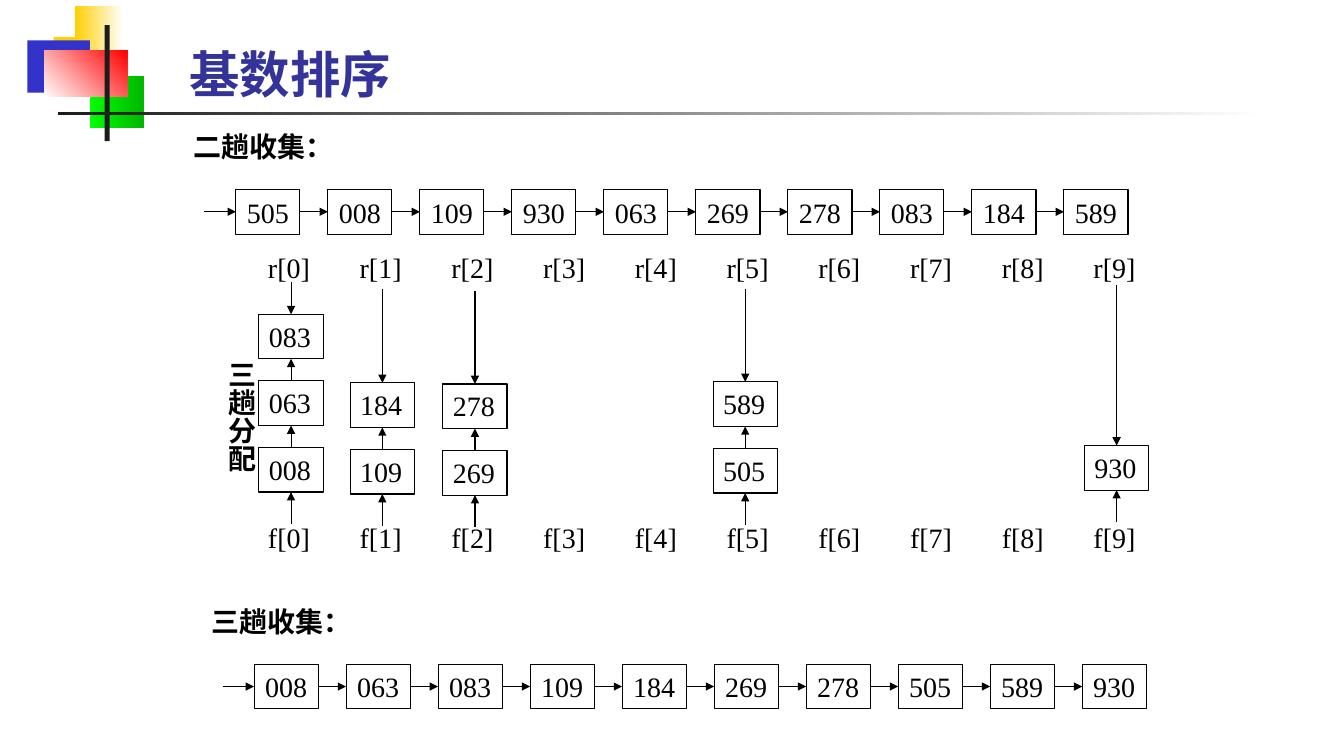
from lxml import etree
from pptx import Presentation
from pptx import util as u
from pptx.dml.color import RGBColor
from pptx.enum import shapes, text
from pptx.oxml.ns import qn

BLACK = RGBColor(0x00, 0x00, 0x00)
WHITE = RGBColor(0xFF, 0xFF, 0xFF)
CHARCOAL = RGBColor(0x1C, 0x1C, 0x1C)
GOLD = RGBColor(0xFF, 0xCF, 0x01)
BLUE = RGBColor(0x33, 0x33, 0xCC)
INDIGO = RGBColor(0x33, 0x33, 0x99)
LIME = RGBColor(0x00, 0xFF, 0x00)
GREEN = RGBColor(0x00, 0xB6, 0x00)
RED = RGBColor(0xFF, 0x00, 0x00)

TOP, LEFT, BOTTOM, RIGHT = range(4)
BOX_WIDTH, BOX_HEIGHT = 45.8, 31.8

SECOND_PASS = ["505", "008", "109", "930", "063", "269", "278", "083", "184", "589"]
THIRD_PASS = ["008", "063", "083", "109", "184", "269", "278", "505", "589", "930"]

# bucket: left, top of the lowest box, start of the rear arrow, keys from front to rear
BUCKETS = {
    0: (36, 144, 25.9, ["008", "063", "083"]),
    1: (101.2, 145.4, 31, ["109", "184"]),
    2: (167.4, 146.2, 32.4, ["269", "278"]),
    5: (360.4, 144.7, 31, ["505", "589"]),
    9: (625.7, 142.6, 28.1, ["930"]),
}


def write(shape, words, size=20, font="Times New Roman", color=BLACK, bold=False):
    """Put one run of text into a shape and return its paragraph."""
    para = shape.text_frame.paragraphs[0]
    span = para.add_run()
    span.text = words
    span.font.size = u.Pt(size)
    span.font.name = font
    span.font.bold = bold
    span.font.color.rgb = color
    return para


def add_label(page, left, top, width, height, words, bold=False):
    """Add a text box that fits its single line."""
    label = page.shapes.add_textbox(u.Pt(left), u.Pt(top), u.Pt(width), u.Pt(height))
    label.text_frame.word_wrap = False
    label.text_frame.auto_size = text.MSO_AUTO_SIZE.SHAPE_TO_FIT_TEXT
    write(label, words, bold=bold)
    return label


def add_block(page, left, top, width, height):
    """Add a rectangle without shadow or outline."""
    block = page.shapes.add_shape(
        shapes.MSO_SHAPE.RECTANGLE, u.Pt(left), u.Pt(top), u.Pt(width), u.Pt(height))
    block.shadow.inherit = False
    block.line.fill.background()
    return block


def add_key(page, left, top, key, align, anchor):
    """Add an outlined box that holds one key."""
    box = add_block(page, left, top, BOX_WIDTH, BOX_HEIGHT)
    box.fill.background()
    box.line.color.rgb = BLACK
    box.line.width = u.Pt(0.75)
    box.text_frame.word_wrap = False
    box.text_frame.vertical_anchor = anchor
    write(box, key).alignment = align
    return box


def add_arrow(page, begin, end):
    """Draw an arrow between ends given as a point or as a box and its side."""
    joined = [not isinstance(spot[0], (int, float)) for spot in (begin, end)]
    points = [(0, 0) if fixed else spot for fixed, spot in zip(joined, (begin, end))]
    arrow = page.shapes.add_connector(
        shapes.MSO_CONNECTOR.STRAIGHT, *(u.Pt(value) for point in points for value in point))
    if joined[0]:
        arrow.begin_connect(*begin)
    if joined[1]:
        arrow.end_connect(*end)
    arrow.line.color.rgb = BLACK
    arrow.line.width = u.Pt(0.75)
    outline = arrow.line._get_or_add_ln()
    etree.SubElement(outline, qn("a:tailEnd"), type="triangle")
    etree.SubElement(outline.getparent(), qn("a:effectLst"))


def draw_ornament(page, left, top):
    """Draw the coloured squares and the two rules beside the title."""
    blocks = [
        (18.7, 22.3, 46.1, 37.4, [GOLD], 0),
        (33.8, 0, 34.6, 37.4, [GOLD, WHITE], 0),
        (0, 24.5, 44.6, 37.4, [BLUE], 0),
        (44.6, 49.7, 38.9, 37.4, [LIME, GREEN], 0),
        (12.2, 31.7, 59, 33.1, [WHITE, RED], 45),
        (55.2, 13.7, 3.6, 82.8, [CHARCOAL], 0),
        (21.6, 75.6, 864, 2.5, [CHARCOAL, WHITE], 0),
    ]
    for x, y, width, height, colors, angle in blocks:
        block = add_block(page, left + x, top + y, width, height)
        if len(colors) == 1:
            block.fill.solid()
            block.fill.fore_color.rgb = colors[0]
        else:
            block.fill.gradient()
            block.fill.gradient_angle = angle
            for stop, color in zip(block.fill.gradient_stops, colors):
                stop.color.rgb = color


def draw_title(page, left, top, width, height):
    """Write the slide title at the foot of its box."""
    title = page.shapes.add_textbox(u.Pt(left), u.Pt(top), u.Pt(width), u.Pt(height))
    title.text_frame.word_wrap = True
    title.text_frame.vertical_anchor = text.MSO_ANCHOR.BOTTOM
    write(title, "基数排序", 36, "Arial Narrow", INDIGO, True)


def draw_collection(page, left, top, heading, keys):
    """Draw a headed chain of keys linked from left to right."""
    add_label(page, left, top, 115.2, 31, heading, True)
    row = top + 46.1
    source = (left + 15, row + BOX_HEIGHT / 2)
    for index, key in enumerate(keys):
        box = add_key(page, left + 37.5 + 65.72 * index, row, key,
                      text.PP_ALIGN.CENTER, text.MSO_ANCHOR.MIDDLE)
        add_arrow(page, source, (box, LEFT))
        source = (box, RIGHT)


def draw_distribution(page, left, top):
    """Draw the ten buckets with their front and rear pointers."""
    for index in range(10):
        for name, y in (("r", 0), ("f", 192.2)):
            add_label(page, left + 35.3 + 65.52 * index, top + y, 44.6, 31.4, f"{name}[{index}]")
    side = add_label(page, left, top + 74.9, 38.9, 86.4, "三趟分配", True)
    side.text_frame._txBody.bodyPr.set("vert", "eaVert")
    for x, base, rear, keys in BUCKETS.values():
        middle = left + x + BOX_WIDTH / 2
        source = (middle, top + base + 54.7)
        for level, key in enumerate(keys):
            box = add_key(page, left + x, top + base - 47.6 * level, key,
                          text.PP_ALIGN.LEFT, text.MSO_ANCHOR.TOP)
            add_arrow(page, source, (box, BOTTOM))
            source = (box, TOP)
        add_arrow(page, (middle, top + rear), source)


def main():
    """Build the radix sort slide and save it."""
    deck = Presentation()
    deck.slide_width, deck.slide_height = u.Pt(960), u.Pt(540)
    page = deck.slides.add_slide(deck.slide_layouts[6])
    draw_ornament(page, 19.6, 4.3)
    draw_title(page, 128.2, 18, 362.9, 59.8)
    draw_collection(page, 131, 89.3, "二趟收集：", SECOND_PASS)
    draw_distribution(page, 149, 175.7)
    draw_collection(page, 144, 428.4, "三趟收集：", THIRD_PASS)
    deck.save("out.pptx")


if __name__ == "__main__":
    main()
